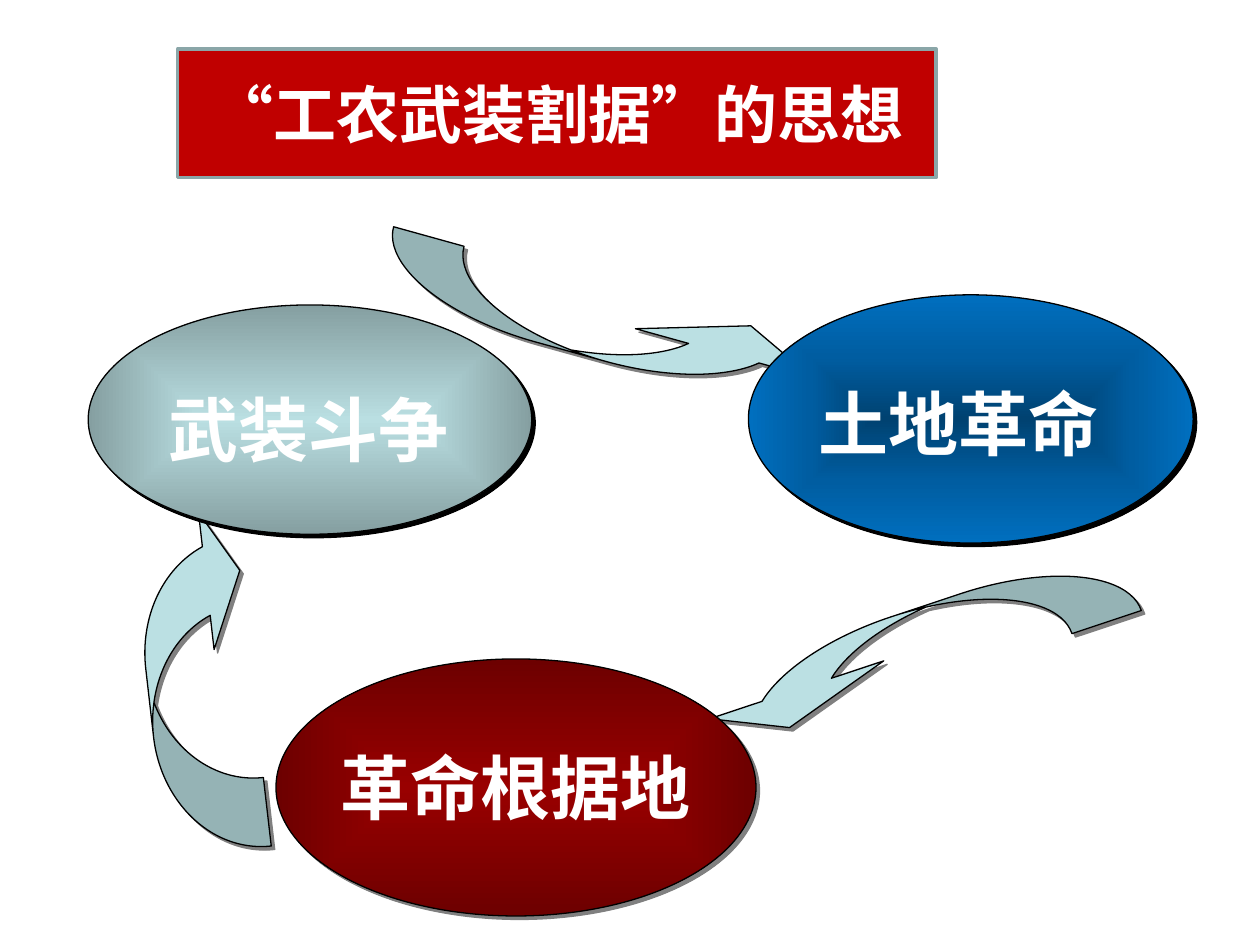
from lxml import etree
from pptx import Presentation
from pptx import util as u
from pptx.dml.color import RGBColor
from pptx.enum import shapes, text
from pptx.oxml import parse_xml
from pptx.oxml.ns import qn

NS = 'xmlns:a="http://schemas.openxmlformats.org/drawingml/2006/main"'
KIND = shapes.MSO_SHAPE
THEME = {
    "white": "FFFFFF", "black": "000000", "gray": "808080",
    "pale": "BBE0E3", "red": "C00000", "edge": "8AA6A8",
    "wine": "990000", "latin": "Times New Roman", "cjk": "Noto Sans CJK JP",
    "title": 36, "label": 40, "thin": 0.75, "thick": 2,
}

TITLE = ("“工农武装割据”的思想", (1.41, 0.39, 6.02, 1.02))

UP = (KIND.CURVED_UP_ARROW, (1.26, 2.51, 0.46))
DOWN = (KIND.CURVED_DOWN_ARROW, (0.66, 1.32, 0.33))
ARROWS = [  # form, box, rotation
    (DOWN, (0.21, 4.98, 2.75, 0.83), 263.5),
    (UP, (5.39, 4.86, 3.67, 0.58), 161.6),
    (UP, (2.98, 2.28, 3.67, 0.58), 15.5),
]

# gradient stops: position %, colour, shade %
PALE = [(0, THEME["pale"], 100), (100, THEME["pale"], 46)]
WINE = [(0, THEME["wine"], 100), (100, THEME["wine"], 46)]
BLUE = [(0, "004272", 100), (50, "005EA2", 100), (100, "0070C0", 100)]
NODES = [
    dict(label="武装斗争", oval=(0.7, 2.42, 3.52, 1.82),
         box=(1.09, 3.02, 3.2, 0.84), inset=0.25, align="LEFT",
         stops=PALE, form="shape", shade="black"),
    dict(label="革命根据地", oval=(2.19, 5.23, 3.81, 2.04),
         box=(2.58, 5.86, 3.02, 0.77), inset=0.1, align="CENTER",
         stops=WINE, form="shape", shade="gray"),
    dict(label="土地革命", oval=(5.94, 2.34, 3.53, 1.97),
         box=(6.4, 2.97, 2.78, 0.77), inset=0.1, align="LEFT",
         stops=BLUE, form="rect", shade="black"),
]


def rgb(name):
    return RGBColor.from_string(THEME[name])


def inch(box):
    return [u.Inches(v) for v in box]


def shadow(name):
    """Hard shadow to the lower right."""
    return parse_xml(
        f'<a:effectLst {NS}><a:outerShdw dist="{u.Pt(2.8)}" dir="2700000" '
        f'algn="ctr" rotWithShape="0"><a:srgbClr val="{THEME[name]}"/>'
        '</a:outerShdw></a:effectLst>')


def grade(shape, stops, form):
    """Fill a shape with a gradient that runs out from its centre."""
    marks = "".join(
        f'<a:gs pos="{pos * 1000}"><a:srgbClr val="{color}">'
        f'<a:shade val="{shade * 1000}"/></a:srgbClr></a:gs>'
        for pos, color, shade in stops)
    fill = parse_xml(
        f'<a:gradFill {NS} rotWithShape="1"><a:gsLst>{marks}</a:gsLst>'
        f'<a:path path="{form}"><a:fillToRect l="50000" t="50000" '
        'r="50000" b="50000"/></a:path></a:gradFill>')
    shape._element.spPr.find(qn("a:prstGeom")).addnext(fill)


def outline(shape, color="black", width="thin"):
    shape.line.color.rgb = rgb(color)
    shape.line.width = u.Pt(THEME[width])


def write(frame, words, size, latin, align, shade=None):
    para = frame.paragraphs[0]
    para.alignment = align
    run = para.add_run()
    run.text = words
    look = dict(size=u.Pt(THEME[size]), bold=True, name=THEME[latin])
    for key, value in look.items():
        setattr(run.font, key, value)
    run.font.color.rgb = rgb("white")
    props = run.font._element
    if shade:
        props.find(qn("a:solidFill")).addnext(shadow(shade))
    face = etree.Element(qn("a:ea"), typeface=THEME["cjk"])
    props.find(qn("a:latin")).addnext(face)


def add_title(slide):
    words, box = TITLE
    title = slide.shapes.title
    title.left, title.top, title.width, title.height = inch(box)
    title.fill.solid()
    title.fill.fore_color.rgb = rgb("red")
    outline(title, "edge", "thick")
    frame = title.text_frame
    frame.word_wrap = True
    frame.auto_size = text.MSO_AUTO_SIZE.NONE
    frame.vertical_anchor = text.MSO_ANCHOR.MIDDLE
    write(frame, words, "title", "cjk", text.PP_ALIGN.CENTER)


def add_arrow(slide, form, box, turn):
    kind, bends = form
    arrow = slide.shapes.add_shape(kind, *inch(box))
    for i, bend in enumerate(bends):
        arrow.adjustments[i] = bend
    arrow.rotation = turn
    arrow.fill.solid()
    arrow.fill.fore_color.rgb = rgb("pale")
    outline(arrow)
    arrow._element.spPr.append(shadow("gray"))


def add_node(slide, node):
    group = slide.shapes.add_group_shape()
    oval = group.shapes.add_shape(KIND.OVAL, *inch(node["oval"]))
    grade(oval, node["stops"], node["form"])
    outline(oval)
    oval._element.spPr.append(shadow(node["shade"]))
    frame = group.shapes.add_textbox(*inch(node["box"])).text_frame
    frame.word_wrap = True
    frame.auto_size = text.MSO_AUTO_SIZE.SHAPE_TO_FIT_TEXT
    frame.margin_left = u.Inches(node["inset"])
    write(frame, node["label"], "label", "latin",
          text.PP_ALIGN[node["align"]], node["shade"])


def main():
    deck = Presentation()
    deck.slide_width, deck.slide_height = inch((10, 7.5))
    slide = deck.slides.add_slide(deck.slide_layouts[5])
    add_title(slide)
    for arrow in ARROWS:
        add_arrow(slide, *arrow)
    for node in NODES:
        add_node(slide, node)
    deck.save("out.pptx")


if __name__ == "__main__":
    main()
